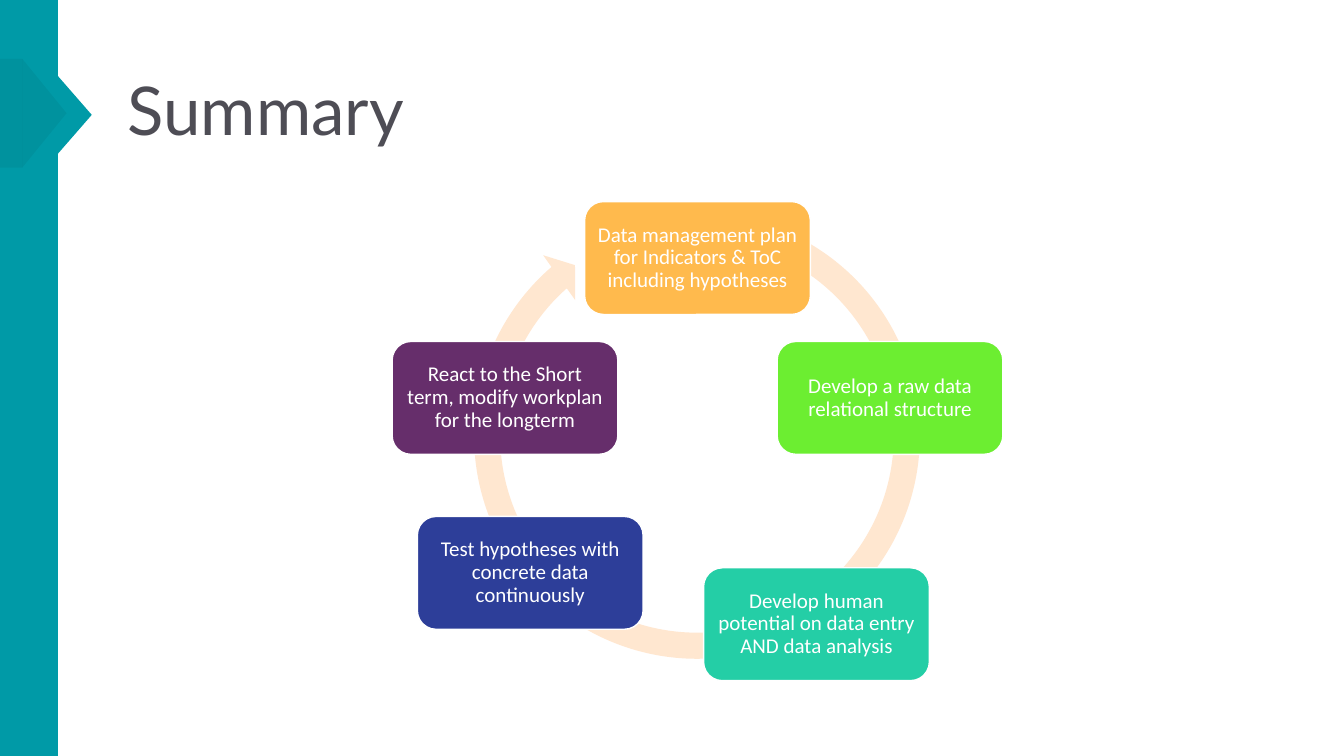
import math
from dataclasses import dataclass

import pptx
import pptx.dml.color
import pptx.enum.shapes
import pptx.enum.text
import pptx.oxml
import pptx.util

Pt = pptx.util.Pt
RGB = pptx.dml.color.RGBColor
Kind = pptx.enum.shapes.MSO_SHAPE
Align = pptx.enum.text.PP_ALIGN
Anchor = pptx.enum.text.MSO_ANCHOR

TEAL = RGB(0x00, 0x9A, 0xA7)
BLACK = RGB(0x00, 0x00, 0x00)
WHITE = RGB(0xFF, 0xFF, 0xFF)
GREY = RGB(0x4E, 0x4D, 0x55)
PEACH = RGB(0xFF, 0xE7, 0xD0)
AMBER = RGB(0xFF, 0xBA, 0x4D)
LIME = RGB(0x6C, 0xEE, 0x31)
MINT = RGB(0x24, 0xCE, 0xA6)
NAVY = RGB(0x2D, 0x3E, 0x99)
PLUM = RGB(0x66, 0x2E, 0x6B)

MID_X, MID_Y, RADIUS = 498.24, 328.9, 144.6
STEP_W, STEP_H = 161.28, 80.64


@dataclass
class Box:
    x: float
    y: float
    w: float
    h: float


@dataclass
class Step:
    text: str
    fill: RGB
    dx: float = 0
    dy: float = 0


STEPS = [
    Step("Data management plan for Indicators & ToC including hypotheses", AMBER),
    Step("Develop a raw data relational structure", LIME),
    Step("Develop human potential on data entry AND data analysis", MINT),
    Step("Test hypotheses with concrete data continuously", NAVY, -34.5, -36.7),
    Step("React to the Short term, modify workplan for the longterm", PLUM),
]


def draw(slide, kind: Kind, box: Box, fill: RGB, turn: float = 0, alpha: int = 100):
    """Add a flat shape without outline; alpha is its opacity in percent."""
    shape = slide.shapes.add_shape(kind, Pt(box.x), Pt(box.y), Pt(box.w), Pt(box.h))
    shape.shadow.inherit = False
    shape.fill.solid()
    shape.fill.fore_color.rgb = fill
    shape.line.fill.background()
    shape.rotation = turn
    if alpha < 100:
        tag = pptx.oxml.ns.qn("a:srgbClr")
        color = next(shape.fill._xPr.iter(tag))
        part = color.makeelement(pptx.oxml.ns.qn("a:alpha"), {"val": str(alpha * 1000)})
        color.append(part)
    return shape


def write(shape, text: str, font: str, size: float, color: RGB, align: Align) -> None:
    frame = shape.text_frame
    frame.text = text
    frame.word_wrap = True
    frame.vertical_anchor = Anchor.MIDDLE
    para = frame.paragraphs[0]
    para.alignment = align
    para.line_spacing = 0.9
    run = para.runs[0]
    run.font.name = font
    run.font.size = Pt(size)
    run.font.color.rgb = color


def add_band(slide) -> None:
    """Draw the side band with its pointer and the darker pointer on top."""
    draw(slide, Kind.RECTANGLE, Box(0, 0, 41.4, 540), TEAL)
    draw(slide, Kind.ISOSCELES_TRIANGLE, Box(25.2, 69.8, 56.2, 24.5), TEAL, 90)
    draw(slide, Kind.ISOSCELES_TRIANGLE, Box(-7.2, 65, 77.8, 31.7), BLACK, 90, 5)
    draw(slide, Kind.RECTANGLE, Box(0, 42, 15.8, 77.8), BLACK, 0, 5)


def add_title(slide) -> None:
    title = slide.shapes.add_textbox(Pt(84.2), Pt(28.8), Pt(828), Pt(104.4))
    write(title, "Summary", "Lato", 48, GREY, Align.LEFT)


def add_ring(slide) -> None:
    ring = draw(slide, Kind.CIRCULAR_ARROW, Box(328.3, 141.8, 339.1, 339.1), PEACH)
    for i, val in enumerate((0.055, 3.307, 137.364, 174.101, 0.058)):
        ring.adjustments[i] = val


def add_step(slide, step: Step, angle: float) -> None:
    """Centre a step on the circle, clockwise from the top."""
    x = MID_X + RADIUS * math.sin(angle) + step.dx - STEP_W / 2
    y = MID_Y - RADIUS * math.cos(angle) + step.dy - STEP_H / 2
    shape = draw(slide, Kind.ROUNDED_RECTANGLE, Box(x, y, STEP_W, STEP_H), step.fill)
    shape.line.color.rgb = WHITE
    shape.line.width = Pt(1)
    frame = shape.text_frame
    frame.margin_left = frame.margin_right = Pt(4.5)
    frame.margin_top = frame.margin_bottom = Pt(4.5)
    write(shape, step.text, "Calibri", 15, WHITE, Align.CENTER)


def main() -> None:
    deck = pptx.Presentation()
    deck.slide_width, deck.slide_height = Pt(960), Pt(540)
    slide = deck.slides.add_slide(deck.slide_layouts[6])
    add_band(slide)
    add_title(slide)
    add_ring(slide)
    for i, step in enumerate(STEPS):
        add_step(slide, step, math.tau * i / len(STEPS))
    deck.save("out.pptx")


if __name__ == "__main__":
    main()
